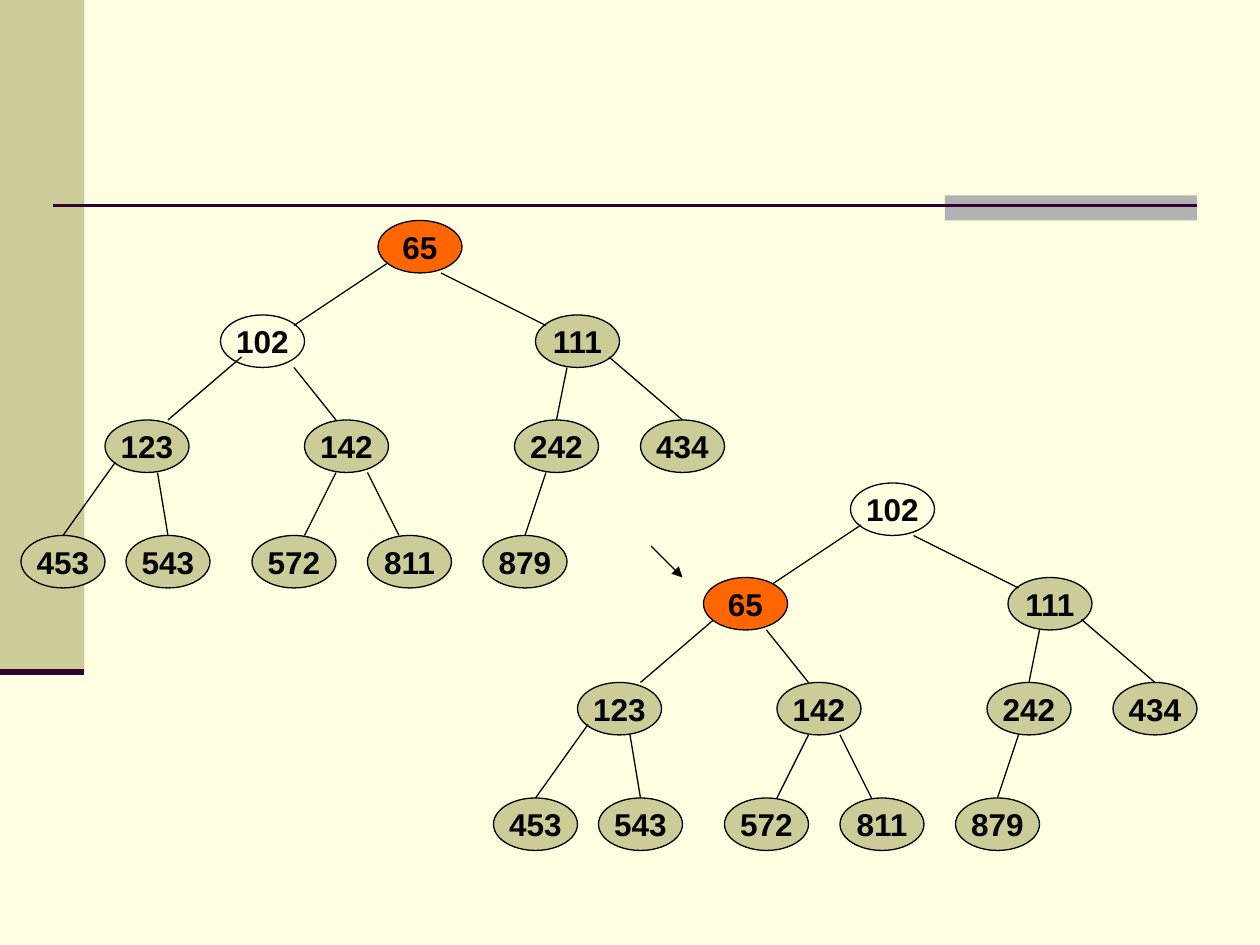
from lxml import etree
from pptx import Presentation
from pptx.dml.color import RGBColor
from pptx.enum import shapes, text
from pptx.oxml.ns import qn
from pptx.util import Inches, Pt

CREAM = RGBColor(0xFF, 0xFF, 0xE1)
KHAKI = RGBColor(0xCC, 0xCC, 0x99)
GREY = RGBColor(0xB2, 0xB2, 0xB2)
PLUM = RGBColor(0x33, 0x00, 0x33)
ORANGE = RGBColor(0xFF, 0x66, 0x00)
BLACK = RGBColor(0x00, 0x00, 0x00)

prs = Presentation()
prs.slide_width, prs.slide_height = Inches(10), Inches(7.5)
slide = prs.slides.add_slide(prs.slide_layouts[6])
slide.background.fill.solid()
slide.background.fill.fore_color.rgb = CREAM


def add_line(x1, y1, x2, y2, color=BLACK, width=0.75):
    """Draw a straight line between two points given in inches."""
    line = slide.shapes.add_connector(
        shapes.MSO_CONNECTOR.STRAIGHT, Inches(x1), Inches(y1), Inches(x2), Inches(y2))
    line.line.color.rgb = color
    line.line.width = Pt(width)
    etree.SubElement(line._element.spPr, qn("a:effectLst"))
    return line


def add_node(value, column, row, color):
    """Draw a tree node whose top left corner is given in grid steps."""
    node = slide.shapes.add_shape(
        shapes.MSO_SHAPE.OVAL, Inches(column / GRID), Inches(row / GRID),
        Inches(8 / GRID), Inches(5 / GRID))
    node.shadow.inherit = False
    node.fill.solid()
    node.fill.fore_color.rgb = color
    node.line.color.rgb = BLACK
    node.line.width = Pt(0.75)
    frame = node.text_frame
    frame.word_wrap = False
    frame.vertical_anchor = text.MSO_ANCHOR.MIDDLE
    label = frame.paragraphs[0]
    label.text = str(value)
    label.alignment = text.PP_ALIGN.CENTER
    label.font.name = "Arial"
    label.font.size = Pt(18)
    label.font.bold = True
    label.font.color.rgb = BLACK


# Page decoration
for left, top, width, height, color in [(0, 0, 0.67, 5.33, KHAKI), (7.5, 1.55, 2, 0.2, GREY)]:
    band = slide.shapes.add_shape(
        shapes.MSO_SHAPE.RECTANGLE, Inches(left), Inches(top), Inches(width), Inches(height))
    band.shadow.inherit = False
    band.fill.solid()
    band.fill.fore_color.rgb = color
    band.line.fill.background()
add_line(0.42, 1.63, 9.5, 1.63, PLUM, 1.5)
add_line(0, 5.33, 0.67, 5.33, PLUM, 3.5)

# Both heaps lie on a grid of twelve steps to the inch
GRID = 12
LEVELS = [
    (30, {111: 51}),
    (40, {123: 10, 142: 29, 242: 49, 434: 61}),
    (51, {453: 2, 543: 12, 572: 24, 811: 35, 879: 46}),
]
EDGES = [
    (37, 25, 28, 31), (42, 26, 52, 31),
    (23, 34, 16, 40), (28, 35, 32, 40), (54, 35, 53, 40), (58, 34, 65, 40),
    (11, 44, 6, 51), (15, 45, 16, 51), (32, 45, 29, 51), (35, 45, 38, 51), (52, 45, 50, 51),
]
# Offset of each heap, then the places of 102 and 65, which are swapped
HEAPS = [
    (0, 0, (21, 30), (36, 21)),
    (45, 25, (81, 46), (67, 55)),
]
for dx, dy, place_102, place_65 in HEAPS:
    for row, level in LEVELS:
        for value, column in level.items():
            add_node(value, column + dx, row + dy, KHAKI)
    add_node(102, *place_102, CREAM)
    for x1, y1, x2, y2 in EDGES:
        add_line((x1 + dx) / GRID, (y1 + dy) / GRID, (x2 + dx) / GRID, (y2 + dy) / GRID)
    add_node(65, *place_65, ORANGE)

swap_arrow = add_line(62 / GRID, 52 / GRID, 65 / GRID, 55 / GRID)
etree.SubElement(swap_arrow.line._get_or_add_ln(), qn("a:tailEnd"), type="triangle")

prs.save("out.pptx")
